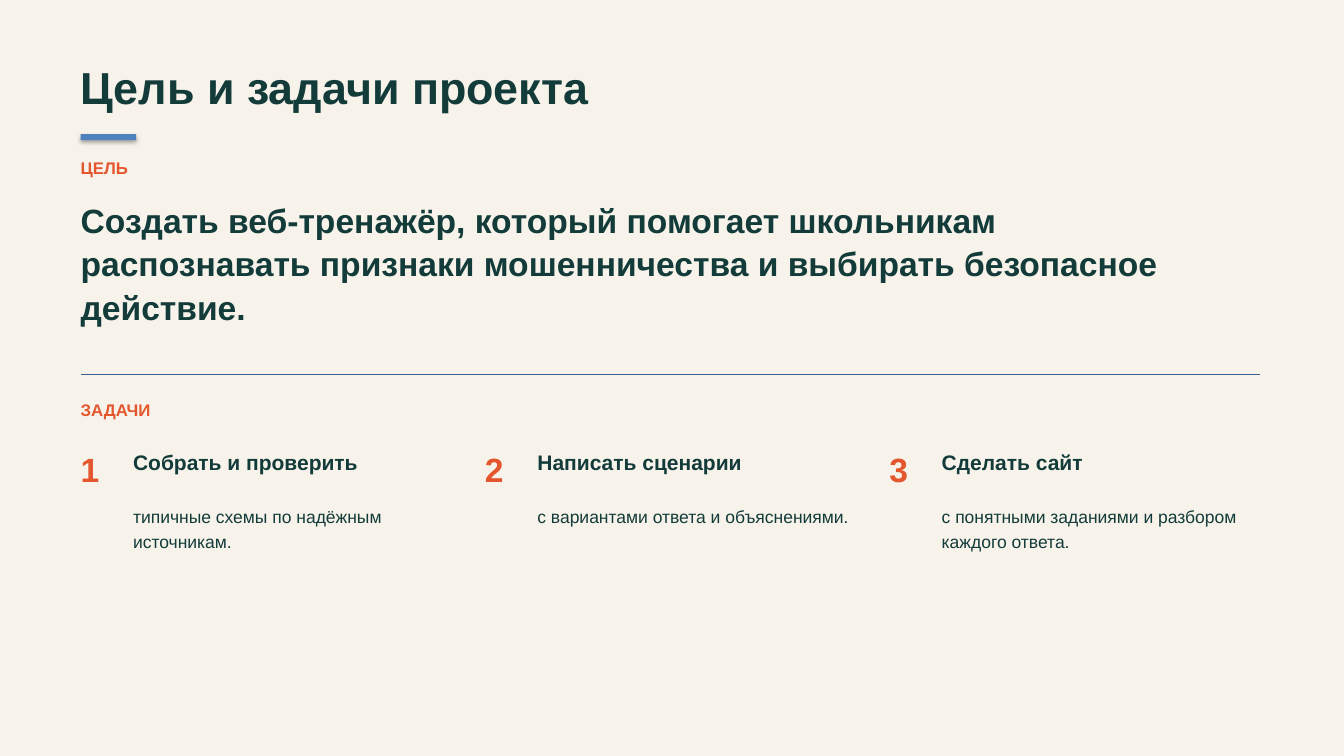
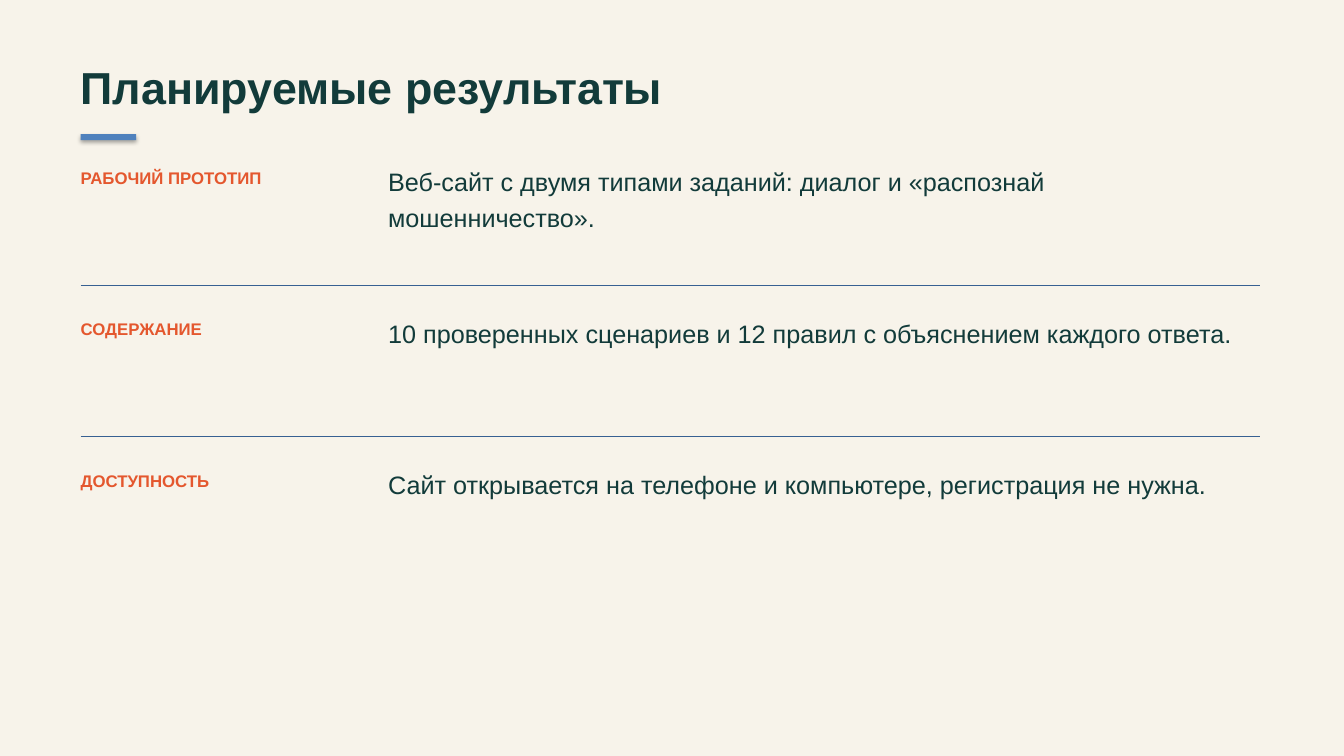
from lxml import etree
from pptx import Presentation
from pptx import util as u
from pptx.dml.color import RGBColor
from pptx.enum import shapes, text
from pptx.oxml.ns import qn

hue = RGBColor.from_string
CREAM, GREEN, CORAL = "F7F3EA", "123B3A", "E4572E"
BLUE, NAVY = "4F81BD", "376092"
LEFT, WIDTH = 0.8, 11.7

deck = Presentation()
deck.slide_width, deck.slide_height = u.Inches(13.33), u.Inches(7.5)
ground = deck.slide_master.background.fill
ground.solid()
ground.fore_color.rgb = hue(CREAM)


def write(slide, at, words, size, color=GREEN, bold=True, gap=1.08, box=None):
    """Put words in the given box, or in a new text box."""
    place = [u.Inches(n) for n in at]
    if box is None:
        box = slide.shapes.add_textbox(*place)
    box.left, box.top, box.width, box.height = place
    frame = box.text_frame
    frame.margin_left = frame.margin_top = 0
    frame.margin_right = frame.margin_bottom = 0
    frame.word_wrap = True
    frame.auto_size = text.MSO_AUTO_SIZE.NONE
    frame.vertical_anchor = text.MSO_ANCHOR.TOP
    frame.text = words
    para = frame.paragraphs[0]
    para.alignment = text.PP_ALIGN.LEFT
    para.line_spacing = gap
    font = para.font
    font.name, font.size, font.bold = "Arial", u.Pt(size), bold
    font.color.rgb = hue(color)


def rule(slide, top, weight):
    """Draw a thin line across the content width."""
    line = slide.shapes.add_connector(
        shapes.MSO_CONNECTOR.STRAIGHT, u.Inches(LEFT), u.Inches(top),
        u.Inches(LEFT + WIDTH), u.Inches(top))
    line.line.color.rgb = hue(NAVY)
    line.line.width = u.Pt(weight)
    etree.SubElement(line._element.spPr, qn("a:effectLst"))


# Shared title and accent bar
pages = []
for name in ("Цель и задачи проекта", "Планируемые результаты"):
    page = deck.slides.add_slide(deck.slide_layouts[5])
    write(page, (LEFT, 0.55, WIDTH, 0.7), name, 32, box=page.shapes.title)
    bar = page.shapes.add_shape(
        shapes.MSO_SHAPE.RECTANGLE, u.Inches(LEFT), u.Inches(1.33),
        u.Inches(0.55), u.Inches(0.06))
    bar.fill.solid()
    bar.fill.fore_color.rgb = hue(BLUE)
    bar.line.fill.background()
    pages.append(page)
goals, results = pages

# Goal and tasks
for top, label in ((1.55, "ЦЕЛЬ"), (3.95, "ЗАДАЧИ")):
    write(goals, (LEFT, top, 2, 0.3), label, 12, CORAL)
write(goals, (LEFT, 1.95, 11.2, 1.55),
      "Создать веб-тренажёр, который помогает школьникам распознавать "
      "признаки мошенничества и выбирать безопасное действие.", 24)
rule(goals, 3.72, 0.75)

tasks = (
    ("Собрать и проверить", "типичные схемы по надёжным источникам."),
    ("Написать сценарии", "с вариантами ответа и объяснениями."),
    ("Сделать сайт", "с понятными заданиями и разбором каждого ответа."),
)
GAP, INDENT = 0.33, 0.52
col = (WIDTH - GAP * (len(tasks) - 1)) / len(tasks)
for i, (head, body) in enumerate(tasks):
    x = LEFT + i * (col + GAP)
    write(goals, (x, 4.42, 0.5, 0.45), str(i + 1), 24, CORAL)
    write(goals, (x + INDENT, 4.44, col - INDENT, 0.55), head, 15)
    write(goals, (x + INDENT, 4.98, col - INDENT, 1), body, 12.5,
          bold=False, gap=1.2)

# Planned results
rows = (
    ("РАБОЧИЙ ПРОТОТИП",
     "Веб-сайт с двумя типами заданий: диалог и «распознай мошенничество»."),
    ("СОДЕРЖАНИЕ",
     "10 проверенных сценариев и 12 правил с объяснением каждого ответа."),
    ("ДОСТУПНОСТЬ",
     "Сайт открывается на телефоне и компьютере, регистрация не нужна."),
)
ROW = 1.5
for i, (label, body) in enumerate(rows):
    y = 1.6 + i * ROW
    if i:
        rule(results, y - 0.27, 0.6)
    write(results, (LEFT, y + 0.05, 2.9, 0.35), label, 12, CORAL)
    write(results, (3.85, y, 8.5, 1), body, 18, bold=False, gap=1.18)

deck.save("out.pptx")
